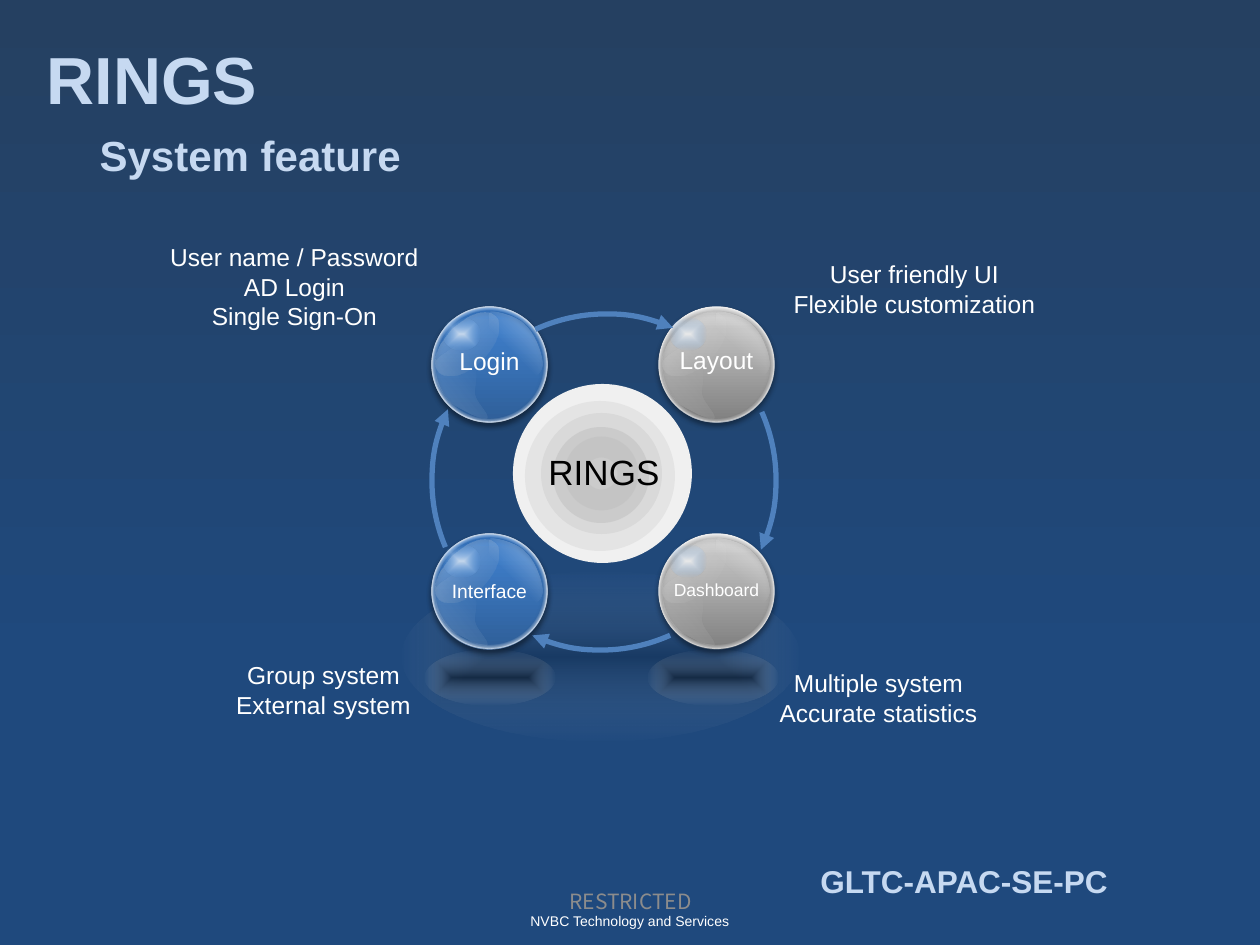
import dataclasses

import lxml.etree
import pptx
import pptx.dml.color
import pptx.enum.shapes
import pptx.enum.text
import pptx.oxml
import pptx.oxml.ns
import pptx.util

SCALE = 914400 / 126
OVAL = pptx.enum.shapes.MSO_SHAPE.OVAL
ARC = pptx.enum.shapes.MSO_SHAPE.ARC
LEFT = pptx.enum.text.PP_ALIGN.LEFT
CENTER = pptx.enum.text.PP_ALIGN.CENTER
TOP = pptx.enum.text.MSO_ANCHOR.TOP
MIDDLE = pptx.enum.text.MSO_ANCHOR.MIDDLE
qn = pptx.oxml.ns.qn


@dataclasses.dataclass(frozen=True)
class Theme:
    font: str = "Arial"
    mark_font: str = "Noto Sans CJK KR"
    heading: str = "C6D9F1"
    text: str = "FFFFFF"
    core_text: str = "000000"
    mark: str = "8C8C8C"
    arrow: str = "4F81BD"
    title_size: int = 38
    subtitle_size: int = 24
    core_size: int = 20
    team_size: int = 18
    label_size: int = 14
    mark_size: int = 12
    footer_size: int = 8
    sky: tuple = ((0, "1F497D", 100), (29, "1F497D", 100), (100, "254061", 100))
    blue: tuple = ((0, "2F5F99", 100), (80, "3D7CC7", 100), (100, "3A7CCB", 100))
    grey: tuple = ((0, "808080", 100), (80, "BFBFBF", 100), (100, "D9D9D9", 100))
    rim: tuple = ((0, "FFFFFF", 0), (65, "FFFFFF", 0), (74, "FFFFFF", 100))
    gloss: tuple = ((0, "FFFFFF", 33), (100, "B6B6B6", 0))
    low_gloss: tuple = ((0, "FFFFFF", 33), (20, "B6B6B6", 0))
    glint: tuple = ((0, "FFFFFF", 65), (100, "67ABF5", 0))
    upper_swirl: tuple = ((50, "FFFFFF", 0), (74, "FFFFFF", 19), (100, "FFFFFF", 0))
    lower_swirl: tuple = ((0, "FFFFFF", 0), (28, "FFFFFF", 0), (74, "FFFFFF", 11))
    halo: tuple = ((0, "000000", 20), (100, "FFFFFF", 0))
    ground: tuple = ((0, "000000", 40), (100, "FFFFFF", 0))


THEME = Theme()
MIDPOINT = (50, 50, 50, 50)
ORB = 115
UPPER_SWIRL = [(60, 5), (54, 5), (58, 14), (57, 19), (54, 23), (42, 24), (48, 32),
               (50, 40), (87, 53), (91, 66), (93, 77), (91, 77), (94, 76),
               (98, 74), (111, 67), (111, 57), (111, 48), (103, 26), (94, 19),
               (87, 10), (67, 5), (60, 5)]
LOWER_SWIRL = [(38, 32), (34, 33), (23, 39), (18, 43), (13, 47), (6, 50), (4, 55),
               (3, 62), (4, 71), (6, 77), (9, 83), (13, 89), (18, 95),
               (23, 100), (32, 103), (38, 107), (44, 110), (55, 113), (55, 111),
               (57, 107), (45, 96), (43, 88), (42, 81), (45, 73), (44, 66),
               (43, 57), (38, 44), (37, 39), (35, 33), (40, 32), (38, 32)]


def px(length):
    return pptx.util.Emu(round(length * SCALE))


def rgb(color):
    return pptx.dml.color.RGBColor.from_string(color)


def add_alpha(color_node, alpha):
    lxml.etree.SubElement(color_node, qn("a:alpha")).set("val", str(alpha * 1000))


def gradient(stops, angle=0, path_kind=None, focus=MIDPOINT):
    node = pptx.oxml.parse_xml(
        f'<a:gradFill {pptx.oxml.ns.nsdecls("a")} rotWithShape="1"><a:gsLst/></a:gradFill>')
    for position, color, alpha in stops:
        stop = lxml.etree.SubElement(node[0], qn("a:gs"), pos=str(position * 1000))
        add_alpha(lxml.etree.SubElement(stop, qn("a:srgbClr"), val=color), alpha)
    if path_kind:
        direction = lxml.etree.SubElement(node, qn("a:path"), path=path_kind)
        edges = {side: str(share * 1000) for side, share in zip("ltrb", focus)}
        lxml.etree.SubElement(direction, qn("a:fillToRect"), **edges)
    else:
        lxml.etree.SubElement(node, qn("a:lin"), ang=str(angle * 60000), scaled="0")
    return node


def paint(shape, fill):
    shape.shadow.inherit = False
    shape.line.fill.background()
    if isinstance(fill, str):
        shape.fill.solid()
        shape.fill.fore_color.rgb = rgb(fill)
    else:
        shape.fill.background()
        properties = shape.element.spPr
        properties.replace(properties.find(qn("a:noFill")), fill)


def outline(shape, color, width, alpha=100):
    shape.line.color.rgb = rgb(color)
    shape.line.width = pptx.util.Pt(width)
    add_alpha(shape.line._ln.find(".//" + qn("a:srgbClr")), alpha)


def drop_shadow(shape):
    effects = shape.element.spPr.find(qn("a:effectLst"))
    shadow = lxml.etree.SubElement(effects, qn("a:outerShdw"), blurRad="39370",
                                   dist="22860", dir="5400000", rotWithShape="0")
    add_alpha(lxml.etree.SubElement(shadow, qn("a:srgbClr"), val="000000"), 35)


def add_oval(shapes, x, y, width, height, fill, turn=0):
    oval = shapes.add_shape(OVAL, px(x), px(y), px(width), px(height))
    oval.rotation = turn
    paint(oval, fill)
    return oval


def add_swirl(shapes, x, y, curve, fill):
    points = [(px(x + across), px(y + down)) for across, down in curve]
    builder = shapes.build_freeform(*points[0])
    builder.add_line_segments(points[1:], close=True)
    swirl = builder.convert_to_shape()
    segments = list(swirl.element.iter(qn("a:lnTo")))
    for start in range(0, len(segments), 3):
        bend = pptx.oxml.parse_xml(f'<a:cubicBezTo {pptx.oxml.ns.nsdecls("a")}/>')
        segments[start].addprevious(bend)
        for segment in segments[start:start + 3]:
            bend.append(segment[0])
            segment.getparent().remove(segment)
    paint(swirl, fill)


def write(holder, lines, size, color, align=CENTER, bold=False, font=THEME.font, anchor=TOP):
    frame = holder.text_frame
    frame.word_wrap = True
    frame.auto_size = pptx.enum.text.MSO_AUTO_SIZE.NONE
    frame.vertical_anchor = anchor
    frame.text = lines
    for paragraph in frame.paragraphs:
        paragraph.alignment = align
        paragraph.space_before = pptx.util.Pt(0)
        for run in paragraph.runs:
            run.font.name = font
            run.font.size = pptx.util.Pt(size)
            run.font.bold = bold
            run.font.color.rgb = rgb(color)


def place(holder, x, y, width, height):
    holder.left, holder.top = px(x), px(y)
    holder.width, holder.height = px(width), px(height)


def add_label(shapes, box, lines, size=THEME.label_size, color=THEME.text, **style):
    write(shapes.add_textbox(*map(px, box)), lines, size, color, **style)


def add_orb(slide, x, y, name, size, text_top, colors, edge=None):
    shapes = slide.shapes.add_group_shape().shapes
    ball = add_oval(shapes, x, y, ORB, ORB, gradient(colors, 270))
    if edge:
        outline(ball, edge, 0.75)
    drop_shadow(ball)
    rim = add_oval(shapes, x, y, ORB, ORB, gradient(THEME.rim, path_kind="circle"))
    outline(rim, "FFFFFF", 0.75, 25)
    drop_shadow(rim)
    add_oval(shapes, x - 4, y + 16, 78, 42, gradient(THEME.gloss, 90), 315)
    add_oval(shapes, x + 11, y + 11, 37, 33, gradient(THEME.glint, path_kind="shape"))
    add_swirl(shapes, x, y, UPPER_SWIRL,
              gradient(THEME.upper_swirl, path_kind="circle", focus=(0, 100, 100, 0)))
    add_swirl(shapes, x, y, LOWER_SWIRL, gradient(THEME.lower_swirl, 142))
    add_oval(shapes, x + 43, y + 62, 78, 42, gradient(THEME.low_gloss, 90), 135)
    add_label(shapes, (x - 1, y + text_top, ORB + 2, 40), name, size)


def add_cycle_arrow(slide, x, y, turn):
    arrow = slide.shapes.add_shape(ARC, px(x), px(y), px(338), px(338))
    arrow.adjustments[0], arrow.adjustments[1] = 165.53, 194.4
    arrow.rotation = turn
    arrow.shadow.inherit = False
    arrow.fill.background()
    outline(arrow, THEME.arrow, 3)
    lxml.etree.SubElement(arrow.line._ln, qn("a:tailEnd"), type="triangle")


def add_core(slide):
    for x, y, size, color in ((513, 384, 179, "F0F0F0"), (525, 401, 150, "E4E4E4"),
                              (541, 413, 121, "D9D9D9")):
        add_oval(slide.shapes, x, y, size, size, color)
    disc = add_oval(slide.shapes, 553, 427, 96, 96, "BFBFBF")
    add_alpha(disc.element.spPr.find(qn("a:solidFill"))[0], 50)


def add_core_center(slide):
    center = add_oval(slide.shapes, 575, 447, 53, 53, "CBCBCB")
    add_alpha(center.element.spPr.find(qn("a:solidFill"))[0], 50)
    outline(center, "BFBFBF", 12, 50)
    add_label(slide.shapes, (510, 444, 188, 55), "RINGS", THEME.core_size, THEME.core_text)


def main():
    deck = pptx.Presentation()
    deck.slide_width, deck.slide_height = px(1260), px(945)
    slide = deck.slides.add_slide(deck.slide_layouts[0])
    shapes = slide.shapes
    slide.background.fill.solid()
    backdrop = slide.element.find(".//" + qn("p:bgPr"))
    backdrop.replace(backdrop[0], gradient(THEME.sky, 270))

    title, subtitle = slide.placeholders
    place(title, 34, 32, 1196, 93)
    write(title, "RINGS", THEME.title_size, THEME.heading, LEFT, True)
    place(subtitle, 87, 123, 1116, 63)
    write(subtitle, "System feature", THEME.subtitle_size, THEME.heading, LEFT, True)
    add_label(shapes, (808, 856, 417, 50), "GLTC-APAC-SE-PC", THEME.team_size,
              THEME.heading, align=LEFT, bold=True)
    add_label(shapes, (0, 906, 1260, 30), "NVBC Technology and Services", THEME.footer_size)
    add_label(shapes, (431, 876, 399, 50), "RESTRICTED", THEME.mark_size, THEME.mark,
              font=THEME.mark_font, anchor=MIDDLE)

    add_oval(shapes, 402, 572, 397, 169, gradient(THEME.halo, path_kind="shape"))
    add_core(slide)
    left, right, upper, lower = 432, 659, 307, 534
    add_orb(slide, right, upper, "Layout", 14, 32, THEME.grey)
    add_orb(slide, right, lower, "Dashboard", 10, 39, THEME.grey)
    add_orb(slide, left, lower, "Interface", 11, 39, THEME.blue, "4B7EBC")
    add_orb(slide, left, upper, "Login", 14, 33, THEME.blue, "4B7EBC")
    add_core_center(slide)

    for x in (425, 648):
        add_oval(shapes, x, 650, 130, 55, gradient(THEME.ground, path_kind="shape"))
    for x, y, turn in ((432, 312, 150), (432, 312, 241.1), (437, 314, 329.4), (438, 311, 60.4)):
        add_cycle_arrow(slide, x, y, turn)

    for x, y, lines in ((157, 236, "User name / Password\nAD Login\nSingle Sign-On"),
                        (777, 253, "User friendly UI\nFlexible customization"),
                        (186, 654, "Group system\nExternal system"),
                        (741, 662, "Multiple system\nAccurate statistics")):
        add_label(shapes, (x, y, 275, 102 if lines.count("\n") == 2 else 72), lines)
    deck.save("out.pptx")


if __name__ == "__main__":
    main()
